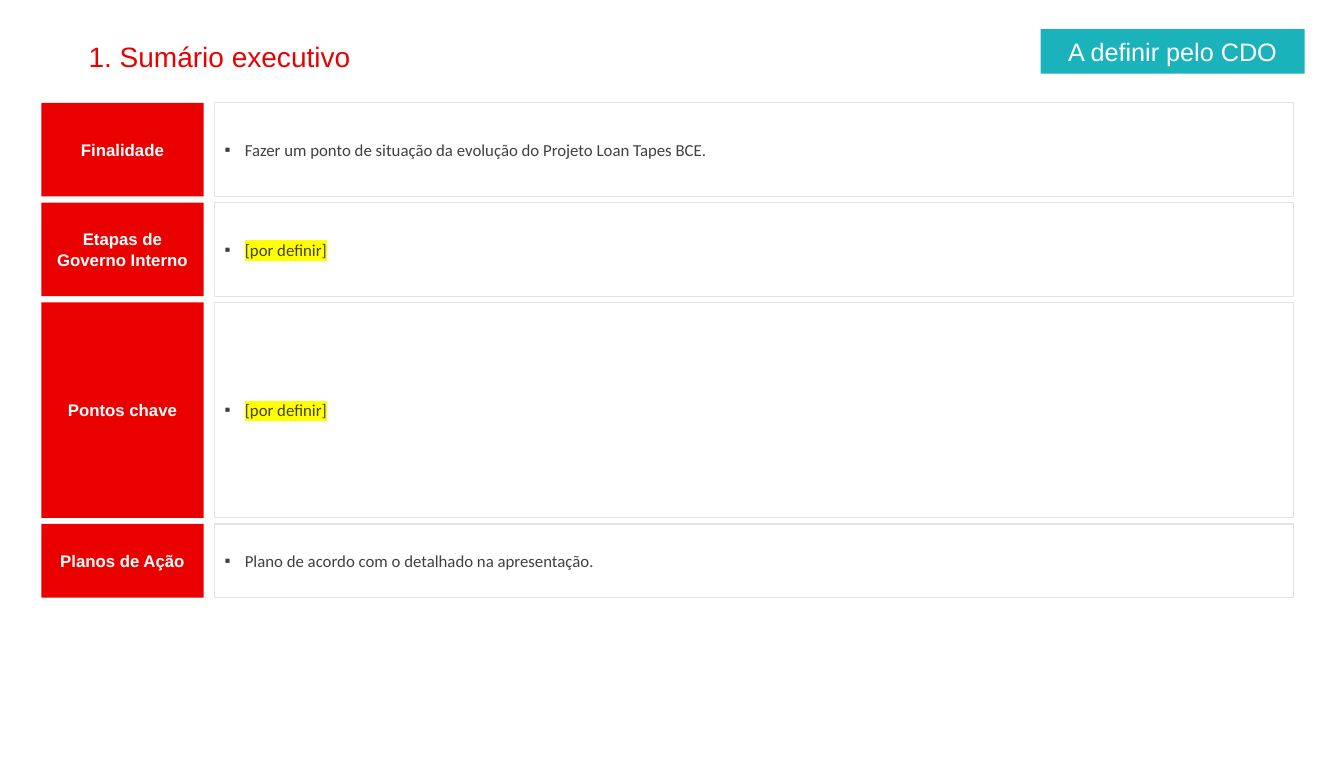
from lxml.etree import SubElement
from pptx import Presentation
from pptx.dml.color import RGBColor
from pptx.enum.shapes import MSO_SHAPE
from pptx.enum.text import MSO_ANCHOR, PP_ALIGN
from pptx.oxml.ns import qn
from pptx.util import Pt

PX = 9144
RED = RGBColor(0xEB, 0x00, 0x00)
TEAL = RGBColor(0x1A, 0xB2, 0xBB)
WHITE = RGBColor(0xFF, 0xFF, 0xFF)
BORDER = RGBColor(0xE2, 0xE4, 0xE4)
DARK = RGBColor(0x40, 0x40, 0x40)
YELLOW = RGBColor(0xFF, 0xFF, 0x00)

TITLE_FORMAT = {"name": "Arial", "size": Pt(20), "bold": False}
TAG_FORMAT = {"name": "Arial", "size": Pt(18), "bold": False}
LABEL_FORMAT = {"name": "Arial", "size": Pt(12), "bold": True}
BODY_FORMAT = {"name": "Calibri", "size": Pt(12), "bold": False}

LABEL_LEFT, LABEL_WIDTH = 41, 161
BODY_LEFT, BODY_WIDTH = 213, 1070
FIRST_TOP, ROW_GAP = 102, 6
BULLET_INDENT = 20

ROWS = [
    ("Finalidade", "Fazer um ponto de situação da evolução do Projeto Loan Tapes BCE.", 93, False),
    ("Etapas de Governo Interno", "[por definir]", 93, True),
    ("Pontos chave", "[por definir]", 214, True),
    ("Planos de Ação", "Plano de acordo com o detalhado na apresentação.", 73, False),
]


def write_run(paragraph, text, color, format_values):
    run = paragraph.add_run()
    run.text = text
    for name, value in format_values.items():
        setattr(run.font, name, value)
    run.font.color.rgb = color
    return run


def highlight(run, color):
    properties = run.font._element
    marker = SubElement(properties, qn("a:highlight"))
    SubElement(marker, qn("a:srgbClr"), val=str(color))
    properties.find(qn("a:solidFill")).addnext(marker)


def add_bullet(paragraph):
    properties = paragraph._p.get_or_add_pPr()
    properties.set("marL", str(BULLET_INDENT * PX))
    properties.set("indent", str(-BULLET_INDENT * PX))
    SubElement(properties, qn("a:buFont"), typeface="Arial")
    SubElement(properties, qn("a:buChar"), char="▪")


def add_box(slide, left, top, width, height):
    shape = slide.shapes.add_shape(
        MSO_SHAPE.RECTANGLE, left * PX, top * PX, width * PX, height * PX)
    shape.shadow.inherit = False
    shape.text_frame.word_wrap = True
    shape.text_frame.vertical_anchor = MSO_ANCHOR.MIDDLE
    return shape


def add_filled_box(slide, bounds, text, fill, format_values):
    shape = add_box(slide, *bounds)
    shape.fill.solid()
    shape.fill.fore_color.rgb = fill
    shape.line.fill.background()
    paragraph = shape.text_frame.paragraphs[0]
    paragraph.alignment = PP_ALIGN.CENTER
    write_run(paragraph, text, WHITE, format_values)


def add_body_box(slide, bounds, text, pending):
    shape = add_box(slide, *bounds)
    shape.fill.background()
    shape.line.color.rgb = BORDER
    shape.line.width = Pt(0.75)
    paragraph = shape.text_frame.paragraphs[0]
    add_bullet(paragraph)
    paragraph.level = 1
    paragraph.alignment = PP_ALIGN.JUSTIFY
    paragraph.space_after = Pt(10)
    run = write_run(paragraph, text, DARK, BODY_FORMAT)
    if pending:
        highlight(run, YELLOW)


def add_title(slide, bounds, text):
    box = slide.shapes.add_textbox(*(length * PX for length in bounds))
    box.text_frame.word_wrap = True
    paragraph = box.text_frame.paragraphs[0]
    paragraph.line_spacing = 0.9
    write_run(paragraph, text, RED, TITLE_FORMAT)


def add_rows(slide):
    top = FIRST_TOP
    for label, text, height, pending in ROWS:
        add_filled_box(slide, (LABEL_LEFT, top, LABEL_WIDTH, height), label, RED, LABEL_FORMAT)
        add_body_box(slide, (BODY_LEFT, top, BODY_WIDTH, height), text, pending)
        top += height + ROW_GAP


def main():
    presentation = Presentation()
    presentation.slide_width = 1333 * PX
    presentation.slide_height = 776 * PX
    slide = presentation.slides.add_slide(presentation.slide_layouts[6])
    add_title(slide, (78, 38, 1177, 34), "1. Sumário executivo")
    add_filled_box(slide, (1032, 29, 262, 44), "A definir pelo CDO", TEAL, TAG_FORMAT)
    add_rows(slide)
    presentation.save("out.pptx")


if __name__ == "__main__":
    main()
